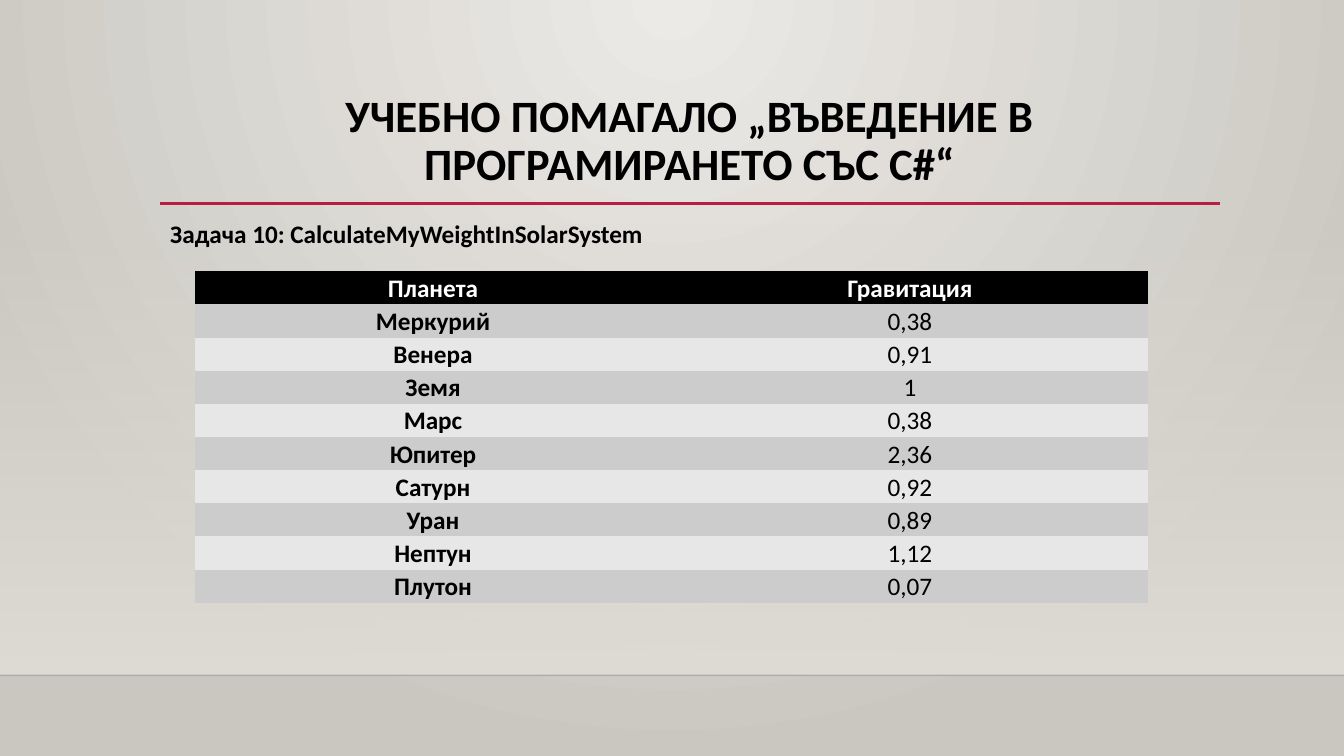
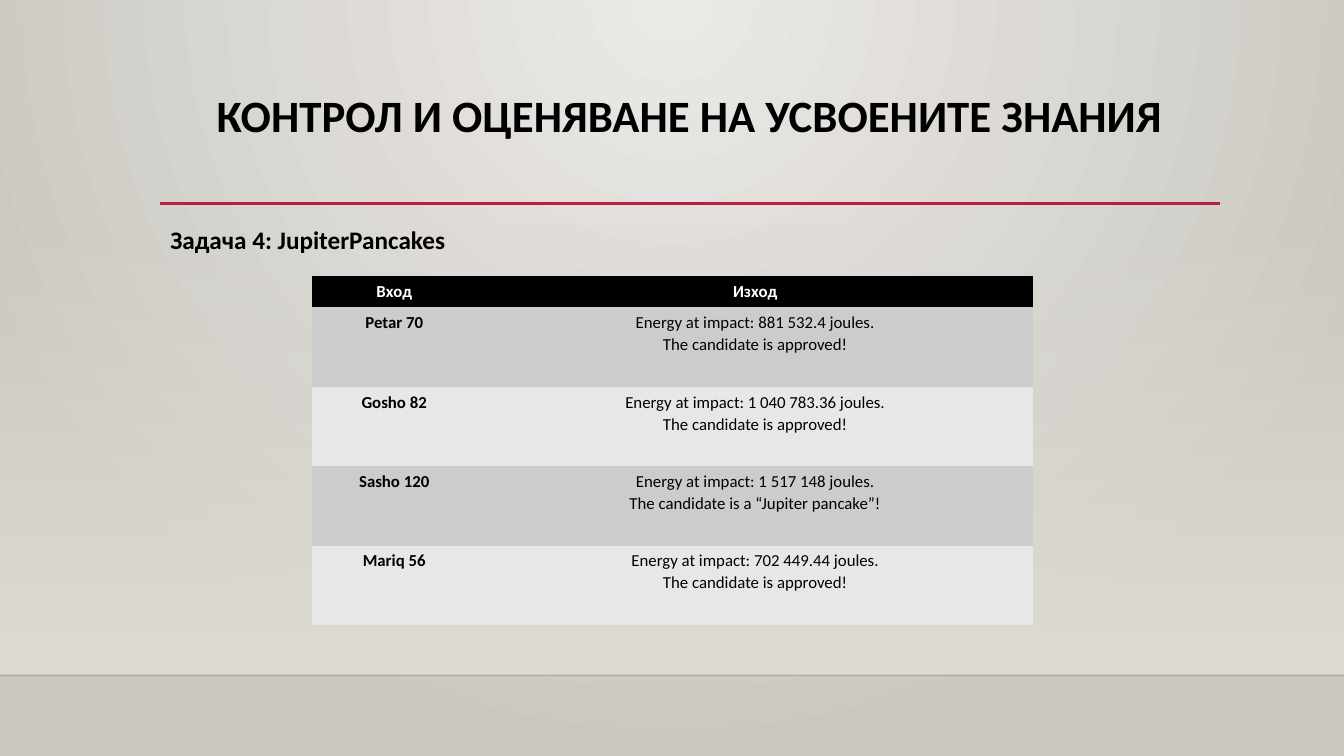
from dataclasses import dataclass

from lxml.etree import SubElement
from pptx import Presentation
from pptx.dml.color import RGBColor as Rgb
from pptx.enum.shapes import MSO_CONNECTOR as Connector, MSO_SHAPE as Preset
from pptx.enum.text import MSO_ANCHOR as Anchor, MSO_AUTO_SIZE as AutoSize, PP_ALIGN as Align
from pptx.oxml.ns import qn
from pptx.util import Inches, Pt


@dataclass(frozen=True)
class Theme:
    font: str = "Calibri"
    title_size: int = 32
    task_size: int = 18
    ink: str = "000000"
    paper: str = "FFFFFF"
    accent: str = "B71E42"
    bands: tuple = ("CCCCCC", "E7E7E7")
    glow: tuple = ("ECEAE7", "CAC7C1")
    wall: str = "DFDBD5"
    floor_edge: str = "000001"


@dataclass(frozen=True)
class Box:
    left: float
    top: float
    width: float
    height: float

    def lengths(self):
        return [Inches(v) for v in (self.left, self.top, self.width, self.height)]


THEME = Theme()
SLIDE_W, SLIDE_H = 13.33, 7.5
FLOOR_Y = 6.7
WALL = Box(0, 2.21, SLIDE_W, FLOOR_Y - 2.21)
TITLE = Box(1.59, 0.88, 10.5, 1.15)
RULE_Y = 2.02


# Shared formatting
def style(paragraph, size, color=THEME.ink, bold=True):
    for run in paragraph.runs:
        font = run.font
        font.name, font.size, font.bold = THEME.font, Pt(size), bold
        font.color.rgb = Rgb.from_string(color)


def color_stops(fill, colors):
    fill.gradient()
    for stop, color in zip(fill.gradient_stops, colors):
        stop.color.rgb = Rgb.from_string(color)


def set_opacity(shape, percent):
    first_color = shape.element.spPr.find(".//" + qn("a:srgbClr"))
    SubElement(first_color, qn("a:alpha"), val=str(percent * 1000))


# Background: a glow spreading from the top centre
def paint_background(master):
    color_stops(master.background.fill, THEME.glow)
    gradient = master.element.find(".//" + qn("p:bgPr") + "/" + qn("a:gradFill"))
    gradient.remove(gradient.find(qn("a:lin")))
    spread = SubElement(gradient, qn("a:path"))
    spread.set("path", "circle")
    SubElement(spread, qn("a:fillToRect"), l="43000", t="0", r="43000", b="100000")


def add_rule(slide, left, right, y, color, width):
    rule = slide.shapes.add_connector(
        Connector.STRAIGHT, Inches(left), Inches(y), Inches(right), Inches(y))
    rule.line.color.rgb = Rgb.from_string(color)
    rule.line.width = Pt(width)
    SubElement(rule.element.spPr, qn("a:effectLst"))
    return rule


# Wall fading in, floor edge and the rule under the title
def add_backdrop(slide):
    wall = slide.shapes.add_shape(Preset.RECTANGLE, *WALL.lengths())
    wall.shadow.inherit = False
    wall.line.fill.background()
    color_stops(wall.fill, (THEME.wall, THEME.wall))
    wall.fill.gradient_angle = 270
    set_opacity(wall, 0)
    floor_edge = add_rule(slide, 0, SLIDE_W, FLOOR_Y, THEME.floor_edge, 1)
    set_opacity(floor_edge, 20)
    add_rule(slide, TITLE.left, 12.1, RULE_Y, THEME.accent, 2.5)


def set_title(slide, text):
    title = slide.shapes.title
    title.left, title.top, title.width, title.height = TITLE.lengths()
    frame = title.text_frame
    frame.text = text
    frame.word_wrap = True
    frame.auto_size = AutoSize.NONE
    frame.vertical_anchor = Anchor.TOP
    heading = frame.paragraphs[0]
    heading.alignment, heading.line_spacing = Align.CENTER, 0.9
    style(heading, THEME.title_size)


def add_task(slide, box, text):
    frame = slide.shapes.add_textbox(*box.lengths()).text_frame
    frame.word_wrap = True
    frame.text = text
    style(frame.paragraphs[0], THEME.task_size)


# Table with a dark header, banded rows and a bold first column
def add_banded_table(slide, box, rows, columns, header_height, size, insets, space_after=0):
    table = slide.shapes.add_table(len(rows), len(columns), *box.lengths()).table
    table.horz_banding = False
    no_grid = "{2D5ABB26-0587-4C30-8999-92F81FD0307C}"
    table._tbl.tblPr.find(qn("a:tableStyleId")).text = no_grid
    for column, width in zip(table.columns, columns):
        column.width = Inches(width)
    body_height = (box.height - header_height) / (len(rows) - 1)
    for r, texts in enumerate(rows):
        table.rows[r].height = Inches(body_height if r else header_height)
        band = THEME.bands[(r - 1) % 2] if r else THEME.ink
        for c, text in enumerate(texts):
            cell = table.cell(r, c)
            cell.fill.solid()
            cell.fill.fore_color.rgb = Rgb.from_string(band)
            (cell.margin_left, cell.margin_top,
             cell.margin_right, cell.margin_bottom) = map(Inches, insets)
            cell.text_frame.text = text
            for line in cell.text_frame.paragraphs:
                line.alignment, line.line_spacing = Align.CENTER, 1.07
                line.space_after = Pt(space_after)
                style(line, size, THEME.ink if r else THEME.paper, r == 0 or c == 0)


def start_slide(prs, title):
    slide = prs.slides.add_slide(prs.slide_layouts[5])
    add_backdrop(slide)
    set_title(slide, title)
    return slide


# Slide 1: gravity by planet
def build_gravity(prs):
    slide = start_slide(prs, "УЧЕБНО ПОМАГАЛО „ВЪВЕДЕНИЕ В ПРОГРАМИРАНЕТО СЪС C#“")
    gravity = [
        ("Планета", "Гравитация"), ("Меркурий", "0,38"), ("Венера", "0,91"),
        ("Земя", "1"), ("Марс", "0,38"), ("Юпитер", "2,36"), ("Сатурн", "0,92"),
        ("Уран", "0,89"), ("Нептун", "1,12"), ("Плутон", "0,07"),
    ]
    add_banded_table(slide, Box(1.93, 2.69, 9.47, 3.29), gravity, (4.73, 4.73),
                     0.33, 18, (0.07, 0, 0.07, 0), space_after=8)
    add_task(slide, Box(TITLE.left, 2.12, 9.9, 0.71),
             "Задача 10: CalculateMyWeightInSolarSystem")


# Slide 2: sample input and output
def build_pancakes(prs):
    slide = start_slide(prs, "КОНТРОЛ И ОЦЕНЯВАНЕ НА УСВОЕНИТЕ ЗНАНИЯ")
    approved, pancake = "approved", "a “Jupiter pancake”"
    candidates = [
        ("Petar 70", "881 532.4", approved),
        ("Gosho 82", "1 040 783.36", approved),
        ("Sasho 120", "1 517 148", pancake),
        ("Mariq 56", "702 449.44", approved),
    ]
    samples = [("Вход", "Изход")] + [
        (entry, f"Energy at impact: {energy} joules.\nThe candidate is {verdict}!")
        for entry, energy, verdict in candidates
    ]
    add_banded_table(slide, Box(3.09, 2.74, 7.16, 3.46), samples, (1.65, 5.51),
                     0.31, 12, (0.05, 0.04, 0.06, 0.04))
    add_task(slide, Box(TITLE.left, 2.18, 10.39, 0.71), "Задача 4: JupiterPancakes")


prs = Presentation()
prs.slide_width, prs.slide_height = Inches(SLIDE_W), Inches(SLIDE_H)
paint_background(prs.slide_master)
build_gravity(prs)
build_pancakes(prs)
prs.save("out.pptx")
